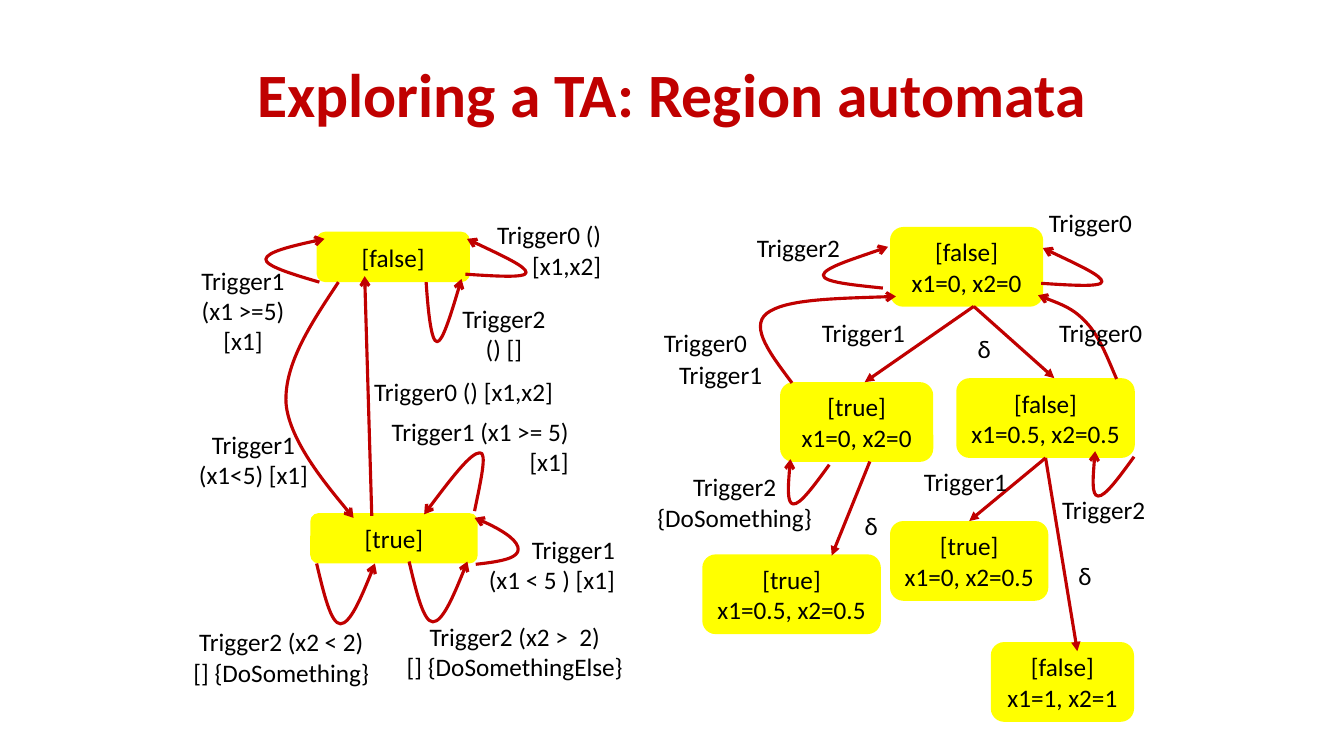
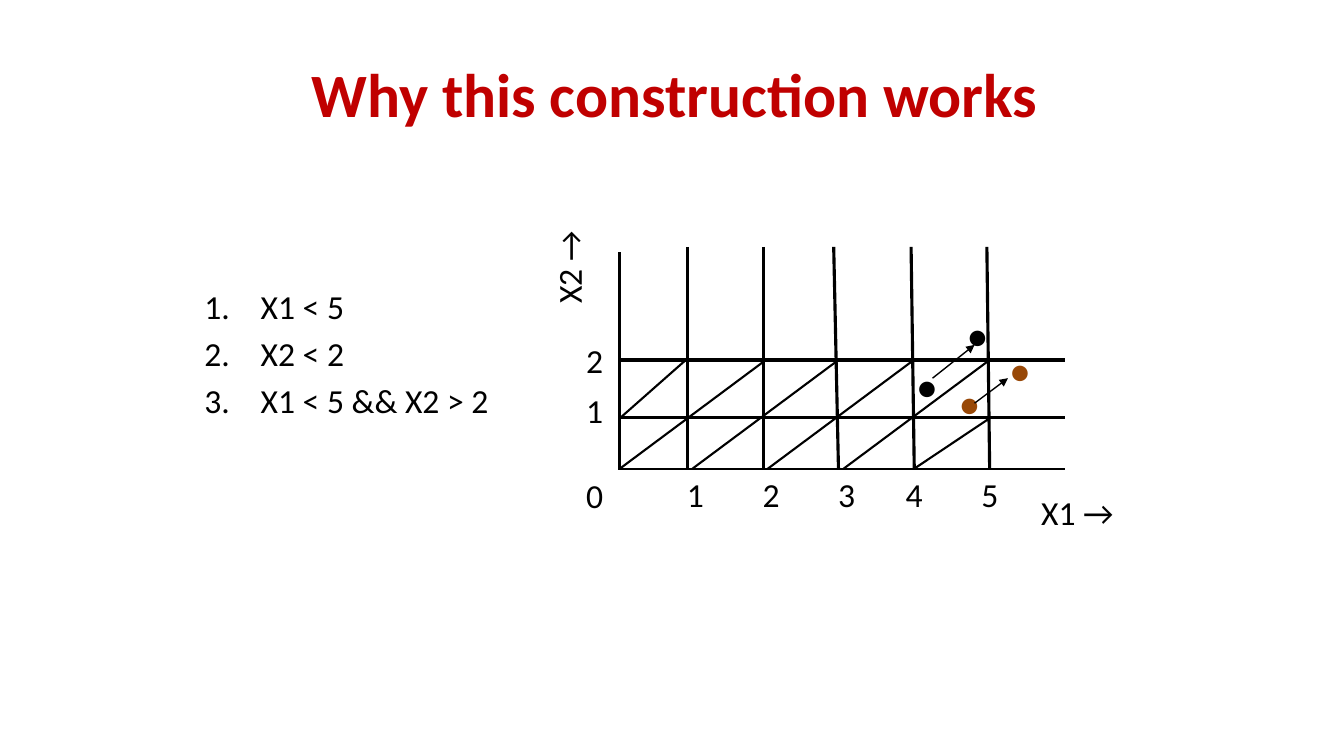
import pptx
import pptx.dml.color
import pptx.enum.shapes
import pptx.enum.text
import pptx.oxml
import pptx.oxml.ns
import pptx.util
from pptx.util import Cm

FONT = "Calibri"
RED, YELLOW, BLACK, BROWN = "C00000", "FFFF00", "000000", "984807"
NO_TABLE_STYLE = "{2D5ABB26-0587-4C30-8999-92F81FD0307C}"
ALIGN = pptx.enum.text.PP_ALIGN
MIDDLE = pptx.enum.text.MSO_ANCHOR.MIDDLE

# Bezier points relative to the start of a curve, in centimetres.
RIGHT_LOOP = [(0.76, 0.05), (1.52, 0.1), (1.53, -0.04),
              (1.54, -0.19), (0.79, -0.53), (0.04, -0.89)]
BOTTOM_LOOP = [(0.18, 0.76), (0.36, 1.52), (0.6, 1.52),
               (0.84, 1.52), (1.17, 0.76), (1.47, 0)]
CORNER_LOOP = [(-0.37, 0.51), (-0.74, 1.02), (-0.91, 0.99),
               (-1.07, 0.97), (-1.03, 0.41), (-0.98, -0.14)]

# Start of each curve and its shape.
CURVES = [
    ((11.73, 6.91), RIGHT_LOOP),
    ((26.24, 7.14), RIGHT_LOOP),
    ((7.98, 14.2), BOTTOM_LOOP),
    ((10.31, 14.15), BOTTOM_LOOP),
    ((20.9, 11.71), CORNER_LOOP),
    ((28.58, 11.51), CORNER_LOOP),
    ((8.53, 7.11), [(-0.69, 1.04), (-1.37, 2.06), (-1.32, 3.05),
                    (-1.24, 4.04), (0.38, 5.94), (0.38, 5.94)]),
    ((8.05, 7.11), [(-0.69, -0.2), (-1.37, -0.41), (-1.35, -0.58),
                    (-1.32, -0.76), (-0.58, -0.94), (0.13, -1.09)]),
    ((11.96, 12.88), [(0.15, -0.74), (0.33, -1.5), (0.13, -1.47),
                      (-0.1, -1.47), (-0.69, -0.69), (-1.27, 0.08)]),
    ((11.99, 14.22), [(0.76, -0.08), (1.07, -0.18), (1.07, -0.38),
                      (1.07, -0.56), (0.74, -0.86), (-0.03, -1.17)]),
    ((10.74, 7.11), [(0.05, 0.76), (0.13, 1.52), (0.28, 1.5),
                     (0.41, 1.5), (0.66, 0.71), (0.89, -0.08)]),
    ((22.25, 7.26), [(-0.76, -0.08), (-1.52, -0.15), (-1.5, -0.33),
                     (-1.47, -0.51), (-0.66, -0.76), (0.13, -1.04)]),
    ((19.96, 9.65), [(-0.53, -0.71), (-1.07, -1.4), (-0.64, -1.75),
                     (-0.18, -2.11), (1.22, -2.13), (2.62, -2.18)]),
    ((28.14, 9.55), [(-0.23, -0.53), (-0.43, -1.07), (-0.76, -1.42),
                     (-1.09, -1.78), (-1.52, -1.93), (-1.98, -2.11)]),
]

# Text, then left, top, width and height.
CENTRED_LABELS = [
    ("Trigger1\n(x1<5) [x1]", 3.61, 10.69, 5.56, 1.8),
    ("Trigger1\n(x1 >=5)\v[x1]", 4.22, 6.55, 3.81, 2.57),
    ("Trigger2 (x2 < 2)\n[] {DoSomething}", 3.61, 15.67, 6.96, 1.8),
    ("Trigger2 (x2 >  2)\n[] {DoSomethingElse}", 9.7, 15.52, 6.55, 1.8),
    ("Trigger0 () [x1,x2]", 8.66, 9.35, 6.05, 1.02),
    ("Trigger2\n() []", 11.2, 7.52, 3, 1.8),
    ("Trigger0", 25.98, 5.11, 3, 1.02),
    ("Trigger2", 18.62, 5.72, 3, 1.02),
    ("Trigger1", 19.46, 7.87, 4.6, 1.02),
    ("δ", 23.7, 8.28, 2.21, 1.02),
    ("Trigger0", 16.28, 8.13, 3, 1.02),
    ("Trigger1", 16.66, 8.92, 3, 1.02),
    ("Trigger2\v{DoSomething}", 16.28, 11.76, 4.47, 1.8),
    ("δ", 20.85, 12.73, 2.21, 1.02),
    ("Trigger0", 26.24, 7.87, 3, 1.02),
    ("Trigger1", 22.83, 11.63, 3, 1.02),
    ("Trigger2", 25.58, 12.32, 4.47, 1.02),
    ("δ", 26.24, 14, 2.21, 1.02),
]
RIGHT_LABELS = [
    ("Trigger0 () [x1,x2]", 11.84, 5.41, 3.56, 1.8),
    ("Trigger1 (x1 >= 5)\v[x1]", 8.43, 10.36, 6.15, 1.8),
    ("Trigger1\n(x1 < 5 ) [x1]", 11.84, 13.34, 3.91, 1.8),
]


def rgb(code):
    return pptx.dml.color.RGBColor.from_string(code)


def add_element(parent, tag, **attributes):
    child = pptx.oxml.parse_xml(f"<a:{tag} {pptx.oxml.ns.nsdecls('a')}/>")
    for name, value in attributes.items():
        child.set(name, value)
    parent.append(child)
    return child


def write(frame, text, size, color=BLACK, align=ALIGN.CENTER, bold=False):
    frame.text = text
    for paragraph in frame.paragraphs:
        paragraph.alignment = align
        for span in paragraph.runs:
            span.font.name = FONT
            span.font.size = pptx.util.Pt(size)
            span.font.bold = bold
            span.font.color.rgb = rgb(color)


def add_page(deck, title, left, width):
    page = deck.slides.add_slide(deck.slide_layouts[5])
    heading = page.shapes.title
    heading.left, heading.top = Cm(left), Cm(0.76)
    heading.width, heading.height = Cm(width), Cm(3.18)
    write(heading.text_frame, title, 44, RED, bold=True)
    heading.text_frame.vertical_anchor = MIDDLE
    return page


def add_label(page, text, left, top, width, height, size=18, **style):
    box = page.shapes.add_textbox(Cm(left), Cm(top), Cm(width), Cm(height))
    box.text_frame.word_wrap = True
    write(box.text_frame, text, size, **style)
    return box


def add_state(page, text, left, top, width, height=2.01):
    kind = pptx.enum.shapes.MSO_SHAPE.ROUNDED_RECTANGLE
    state = page.shapes.add_shape(kind, Cm(left), Cm(top), Cm(width), Cm(height))
    state.shadow.inherit = False
    state.fill.solid()
    state.fill.fore_color.rgb = rgb(YELLOW)
    state.line.fill.background()
    frame = state.text_frame
    frame.margin_left = frame.margin_right = 0
    frame.vertical_anchor = MIDDLE
    write(frame, text, 18)
    return state


def style_line(shape, color, width, head):
    shape.line.color.rgb = rgb(color)
    shape.line.width = pptx.util.Pt(width)
    if head:
        outline = shape.element.spPr.find(pptx.oxml.ns.qn("a:ln"))
        add_element(outline, "tailEnd", type=head)


def add_line(page, start, end, color=BLACK, width=2.25, head=None):
    kind = pptx.enum.shapes.MSO_CONNECTOR.STRAIGHT
    line = page.shapes.add_connector(kind, *map(Cm, start + end))
    style_line(line, color, width, head)
    add_element(line.element.spPr, "effectLst")
    return line


def add_curve(page, start, offsets):
    """Draw a red arrow along cubic curves, three points to a curve."""
    x, y = start
    builder = page.shapes.build_freeform(Cm(x), Cm(y))
    builder.add_line_segments([(Cm(x + dx), Cm(y + dy)) for dx, dy in offsets],
                              close=False)
    curve = builder.convert_to_shape()
    curve.shadow.inherit = False
    curve.fill.background()
    style_line(curve, RED, 2.25, "arrow")
    outline = curve.element.spPr.find(".//" + pptx.oxml.ns.qn("a:path"))
    segments = outline.findall(pptx.oxml.ns.qn("a:lnTo"))
    for first in range(0, len(segments), 3):
        bezier = add_element(outline, "cubicBezTo")
        for segment in segments[first:first + 3]:
            bezier.append(segment[0])
            outline.remove(segment)


def add_border(cell, side):
    border = add_element(cell._tc.get_or_add_tcPr(), side, w="28575")
    add_element(add_element(border, "solidFill"), "srgbClr", val=BLACK)


def add_axes_table(page):
    """Add an empty grid whose left and bottom borders are the axes."""
    frame = page.shapes.add_table(3, 6, Cm(15.62), Cm(6.35), Cm(11.23), Cm(5.47))
    table = frame.table
    table.first_row = table.horz_banding = False
    style = pptx.oxml.ns.qn("a:tableStyleId")
    table._tbl.tblPr.find(style).text = NO_TABLE_STYLE
    for row, height in zip(table.rows, (2.77, 1.35, 1.35)):
        row.height = Cm(height)
    for row in range(3):
        for column in range(6):
            cell = table.cell(row, column)
            if column == 0:
                add_border(cell, "lnL")
            if row == 2:
                add_border(cell, "lnB")
            cell.fill.background()


def add_numbered_list(page, text):
    box = add_label(page, text, 4.9, 6.35, 7.95, 5.11, 24, align=ALIGN.LEFT)
    box.text_frame.vertical_anchor = MIDDLE
    for index, paragraph in enumerate(box.text_frame.paragraphs):
        if index:
            paragraph.space_before = pptx.util.Pt(4.8)
        properties = paragraph._p.get_or_add_pPr()
        properties.set("marL", str(Cm(1.42)))
        properties.set("indent", str(-Cm(1.42)))
        add_element(properties, "buAutoNum", type="arabicPeriod")


def build_automata(deck):
    page = add_page(deck, "Exploring a TA: Region automata", 1.7, 30.48)
    add_state(page, "[false]", 7.98, 5.84, 3.86, 1.27)
    add_state(page, "[true]", 7.82, 12.93, 4.22, 1.27)
    add_state(page, "[false]\nx1=0, x2=0", 22.43, 5.72, 3.86)
    add_state(page, "[true]\nx1=0, x2=0", 19.66, 9.63, 3.86)
    delayed = add_state(page, "[false]\nx1=0.5, x2=0.5", 24.1, 9.53, 4.5)
    add_state(page, "[true]\nx1=0.5, x2=0.5", 17.7, 13.97, 4.5)
    triggered = add_state(page, "[true]\nx1=0, x2=0.5", 22.43, 13.13, 3.99)
    add_state(page, "[false]\nx1=1, x2=1", 24.97, 16.18, 3.61)

    for start, offsets in CURVES:
        add_curve(page, start, offsets)
    add_line(page, (9.37, 13), (9.19, 6.96), RED, head="arrow")
    root, branch = (24.54, 7.72), (26.35, 11.54)
    for start, end in ((root, (21.79, 9.63)), (root, (26.57, 9.53)),
                       ((21.92, 11.63), (20.96, 14))):
        add_line(page, start, end, RED, head="triangle")
    to_triggered = add_line(page, branch, (24.42, 13.13), RED, head="triangle")
    to_last = add_line(page, branch, (27.15, 16.41), RED, head="triangle")
    for line in (to_triggered, to_last):
        line.begin_connect(delayed, 2)
    to_triggered.end_connect(triggered, 0)

    for label in CENTRED_LABELS:
        add_label(page, *label)
    for label in RIGHT_LABELS:
        add_label(page, *label, align=ALIGN.RIGHT)


def build_regions(deck):
    page = add_page(deck, "Why this construction works", 1.07, 31.88)
    add_axes_table(page)
    left, right, bottom = 15.62, 26.85, 11.81

    for x in (left, 17.45, 19.35, 21.26):
        add_line(page, (x, bottom), (x + 3.68, 9.07), width=1.5)
    add_line(page, (23.04, bottom), (24.94, 10.54), width=1.5)
    add_line(page, (left, 10.54), (17.32, 9.04), width=1.5)
    for top_x, bottom_x in ((17.32, 17.32), (19.23, 19.23), (21.01, 21.13),
                            (22.96, 23.04), (24.87, 24.94)):
        add_line(page, (top_x, 6.22), (bottom_x, bottom))
    for y in (10.52, 9.07):
        add_line(page, (left, y), (right, y))

    for number, x in enumerate((16.89, 18.8, 20.7, 22.4, 24.31), 1):
        add_label(page, str(number), x, bottom, 1.27, 1.27, 24)
    for number, y in enumerate((11.84, 9.7, 8.43)):
        add_label(page, str(number), 14.35, y, 1.27, 1.27, 24)
    add_label(page, "X1 →", 24.05, 12.27, 6.2, 1.27, 24)
    add_label(page, "X2 →", 12.88, 6.1, 2.9, 1.27, 24).rotation = 270

    for x, y, color in ((22.86, 9.09, BLACK), (24.13, 7.82, BLACK),
                        (23.93, 9.53, BROWN), (25.2, 8.69, BROWN)):
        add_label(page, "●", x, y, 1.24, 1.27, 24, color=color, align=ALIGN.LEFT)
    add_line(page, (23.5, 9.53), (24.56, 8.69), width=1, head="triangle")
    add_line(page, (24.56, 10.16), (25.4, 9.53), width=1, head="triangle")
    add_numbered_list(page, "X1 < 5\nX2 < 2\nX1 < 5 && X2 > 2")


def main():
    deck = pptx.Presentation()
    deck.slide_width, deck.slide_height = Cm(33.87), Cm(19.05)
    build_automata(deck)
    build_regions(deck)
    deck.save("out.pptx")


if __name__ == "__main__":
    main()
